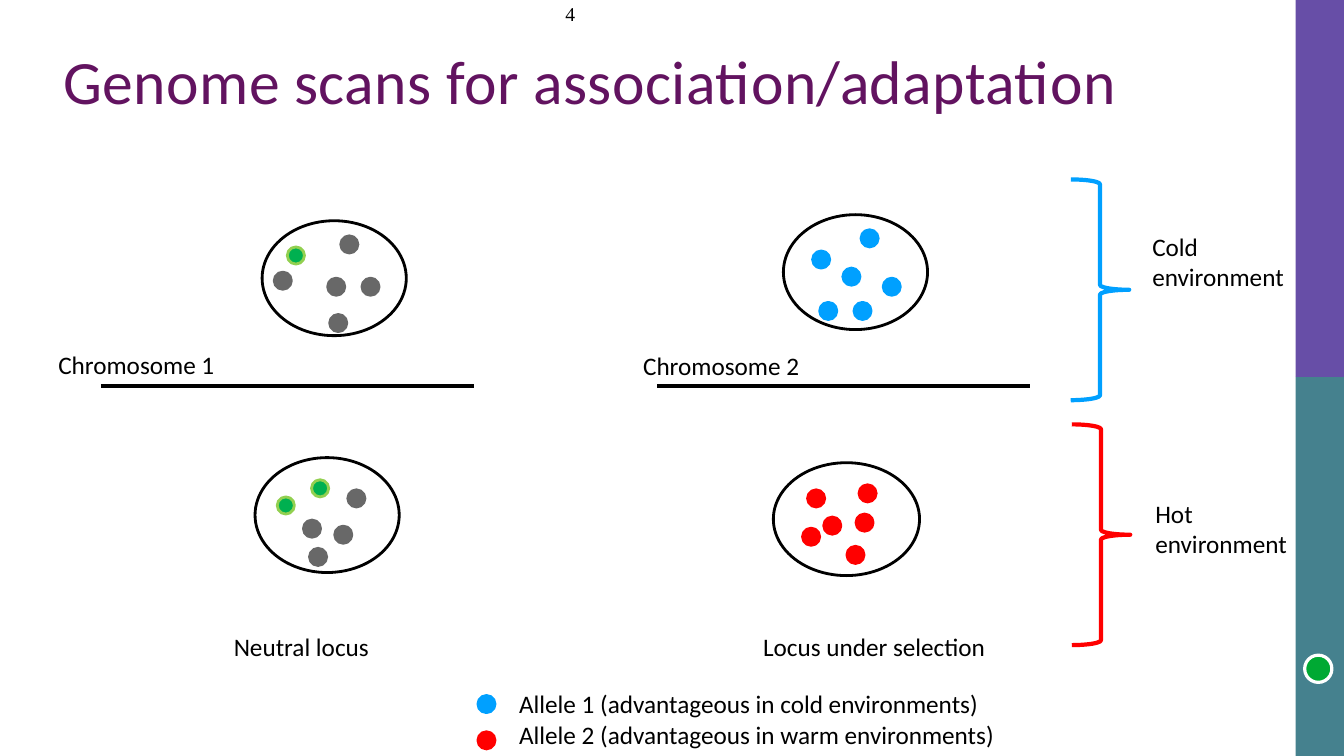
"""Build a slide on genome scans for association and adaptation."""
from dataclasses import dataclass

import pptx
import pptx.dml.color
import pptx.enum.shapes
import pptx.enum.text
import pptx.oxml.ns
import pptx.util
from lxml import etree

EMU_PER_PX = 9144
BLACK, WHITE = "000000", "FFFFFF"
GREY, BLUE, RED = "686868", "00A0FF", "FF0000"
GREEN, LIME = "00B050", "92D050"
PURPLE, TEAL, PLUM, BADGE_GREEN = "674EA7", "45818E", "621360", "00A933"
DOT_SIZE = 17
LABEL_SIZE = 99
SHAPES = pptx.enum.shapes.MSO_SHAPE
ANCHORS = pptx.enum.text.MSO_ANCHOR


@dataclass
class Box:
    left: int
    top: int
    width: int
    height: int

    def emu(self) -> tuple:
        return tuple(px(value) for value in (self.left, self.top, self.width, self.height))


@dataclass
class Dots:
    fill: str
    line: str
    corners: list


@dataclass
class Population:
    outline: Box
    alleles: list


@dataclass
class Label:
    left: int
    top: int
    lines: list


@dataclass
class Brace:
    left: int
    top: int
    color: str


POPULATIONS = [
    Population(Box(260, 219, 143, 114), [
        Dots(GREY, GREY, [(338, 234), (325, 276), (272, 270), (327, 312), (359, 276)]),
        Dots(GREEN, LIME, [(285, 245)]),
    ]),
    Population(Box(253, 454, 143, 114), [
        Dots(GREY, GREY, [(332, 522), (345, 486), (307, 544), (301, 516)]),
        Dots(GREEN, LIME, [(309, 476), (275, 493)]),
    ]),
    Population(Box(777, 213, 143, 114), [
        Dots(BLUE, BLUE, [(876, 276), (806, 249), (854, 228), (813, 300), (847, 300), (836, 266)]),
    ]),
    Population(Box(767, 459, 145, 112), [
        Dots(RED, RED, [(801, 486), (849, 510), (852, 481), (796, 524), (840, 542), (817, 513)]),
    ]),
]
LEGEND = [Dots(BLUE, BLUE, [(474, 690)]), Dots(RED, RED, [(474, 726)])]
LABELS = [
    Label(505, 649, ["Allele 1 (advantageous in cold environments)",
                     "Allele 2 (advantageous in warm environments)"]),
    Label(48, 282, ["Chromosome 1"]),
    Label(628, 283, ["Chromosome 2"]),
    Label(222, 562, ["Neutral locus"]),
    Label(747, 562, ["Locus under selection"]),
    Label(1133, 195, ["Cold", "environment"]),
    Label(1136, 460, ["Hot", "environment"]),
]
BRACES = [Brace(1062, 178, BLUE), Brace(1063, 421, RED)]
CHROMOSOME_LEFTS = [100, 652]


def px(value: int) -> int:
    return value * EMU_PER_PX


def rgb(color: str) -> pptx.dml.color.RGBColor:
    return pptx.dml.color.RGBColor.from_string(color)


def add_shape(slide, preset, box: Box, fill: str = "", line: str = "", weight: float = 2):
    shape = slide.shapes.add_shape(preset, *box.emu())
    shape.shadow.inherit = False
    if fill:
        shape.fill.solid()
        shape.fill.fore_color.rgb = rgb(fill)
    else:
        shape.fill.background()
    if line:
        shape.line.color.rgb = rgb(line)
        shape.line.width = pptx.util.Pt(weight)
    else:
        shape.line.fill.background()
    return shape


def write_text(shape, lines: list, *, size: int = 18, font: str = "Calibri", color: str = BLACK,
               anchor=ANCHORS.TOP, wrap: bool = True) -> None:
    frame = shape.text_frame
    frame.text = "\n".join(lines)
    frame.auto_size = pptx.enum.text.MSO_AUTO_SIZE.NONE
    frame.word_wrap = wrap
    frame.vertical_anchor = anchor
    for paragraph in frame.paragraphs:
        paragraph.alignment = pptx.enum.text.PP_ALIGN.LEFT
        for run in paragraph.runs:
            run.font.size = pptx.util.Pt(size)
            run.font.name = font
            run.font.color.rgb = rgb(color)


def add_title(slide, text: str) -> None:
    title = slide.shapes.title
    title.left, title.top, title.width, title.height = Box(53, 61, 1218, 124).emu()
    write_text(title, [text], size=44, color=PLUM)
    paragraph = title.text_frame.paragraphs[0]
    paragraph.line_spacing = pptx.util.Pt(36)
    paragraph.runs[0].font._element.set("spc", "30")


def add_dots(slide, dots: Dots) -> None:
    for left, top in dots.corners:
        box = Box(left, top, DOT_SIZE, DOT_SIZE)
        add_shape(slide, SHAPES.OVAL, box, dots.fill, dots.line)


def add_population(slide, population: Population) -> None:
    add_shape(slide, SHAPES.OVAL, population.outline, line=BLACK)
    for dots in population.alleles:
        add_dots(slide, dots)


def add_label(slide, label: Label) -> None:
    box = Box(label.left, label.top, LABEL_SIZE, LABEL_SIZE)
    textbox = slide.shapes.add_textbox(*box.emu())
    write_text(textbox, label.lines, anchor=ANCHORS.BOTTOM, wrap=False)


def add_brace(slide, brace: Brace) -> None:
    box = Box(brace.left, brace.top, 58, 219)
    add_shape(slide, SHAPES.RIGHT_BRACE, box, line=brace.color, weight=3)


def add_chromosome(slide, left: int) -> None:
    line = slide.shapes.add_connector(
        pptx.enum.shapes.MSO_CONNECTOR.STRAIGHT, px(left), px(383), px(left + 370), px(383))
    line.line.color.rgb = rgb(BLACK)
    line.line.width = pptx.util.Pt(3)
    etree.SubElement(line._element.spPr, pptx.oxml.ns.qn("a:effectLst"))


def main() -> None:
    presentation = pptx.Presentation()
    presentation.slide_width, presentation.slide_height = px(1333), px(750)
    slide = presentation.slides.add_slide(presentation.slide_layouts[5])

    add_shape(slide, SHAPES.RECTANGLE, Box(1285, 374, 48, 376), TEAL)
    add_shape(slide, SHAPES.RECTANGLE, Box(1285, 0, 48, 374), PURPLE)
    page_number = slide.shapes.add_textbox(*Box(551, -3, 419, 37).emu())
    write_text(page_number, ["4"], size=14, font="Times New Roman")
    add_title(slide, "Genome scans for association/adaptation")

    for population in POPULATIONS:
        add_population(slide, population)
    for dots in LEGEND:
        add_dots(slide, dots)
    for left in CHROMOSOME_LEFTS:
        add_chromosome(slide, left)
    for brace in BRACES:
        add_brace(slide, brace)
    for label in LABELS:
        add_label(slide, label)
    add_shape(slide, SHAPES.OVAL, Box(1294, 650, 27, 27), BADGE_GREEN, WHITE, 2.3)

    presentation.save("out.pptx")


if __name__ == "__main__":
    main()
